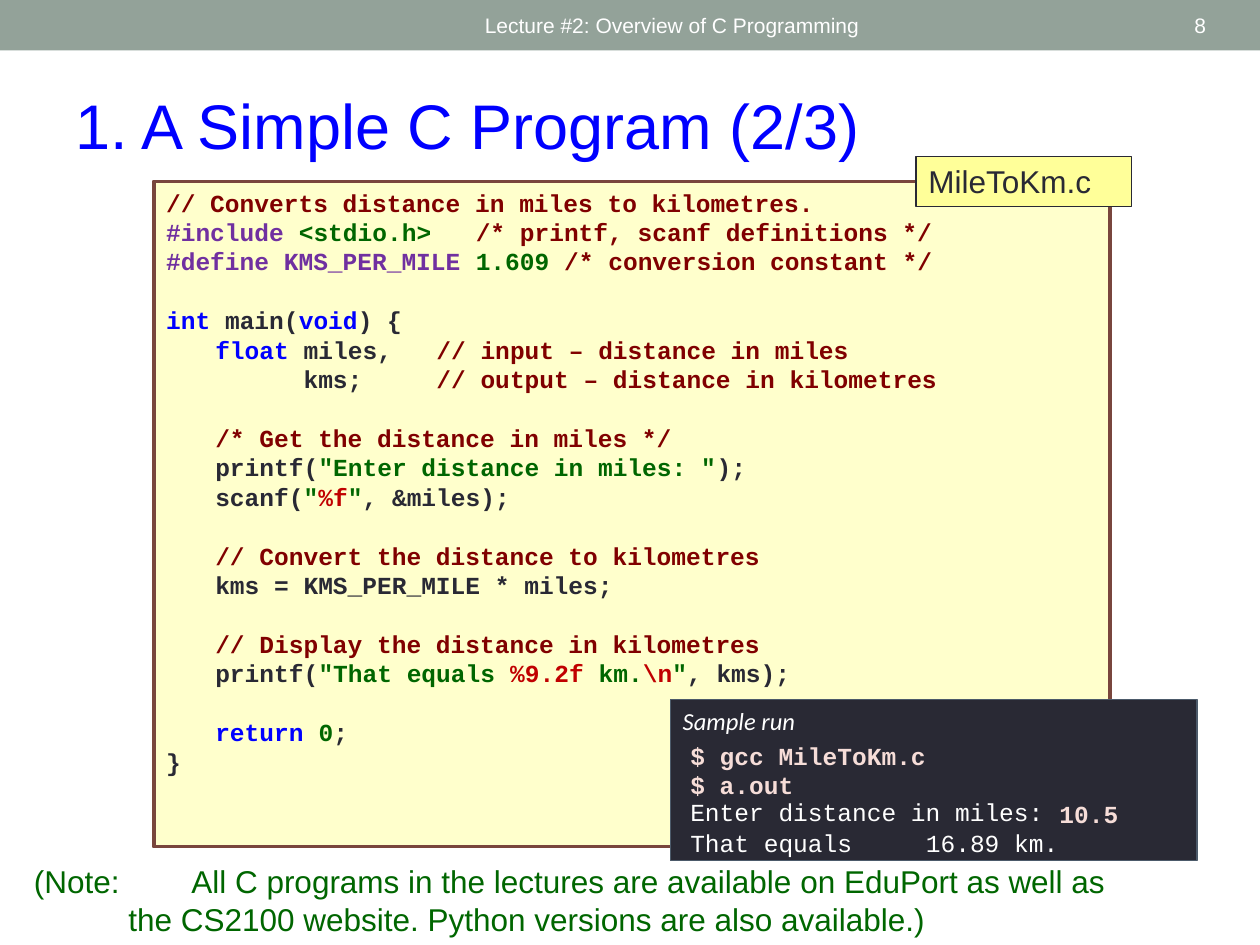
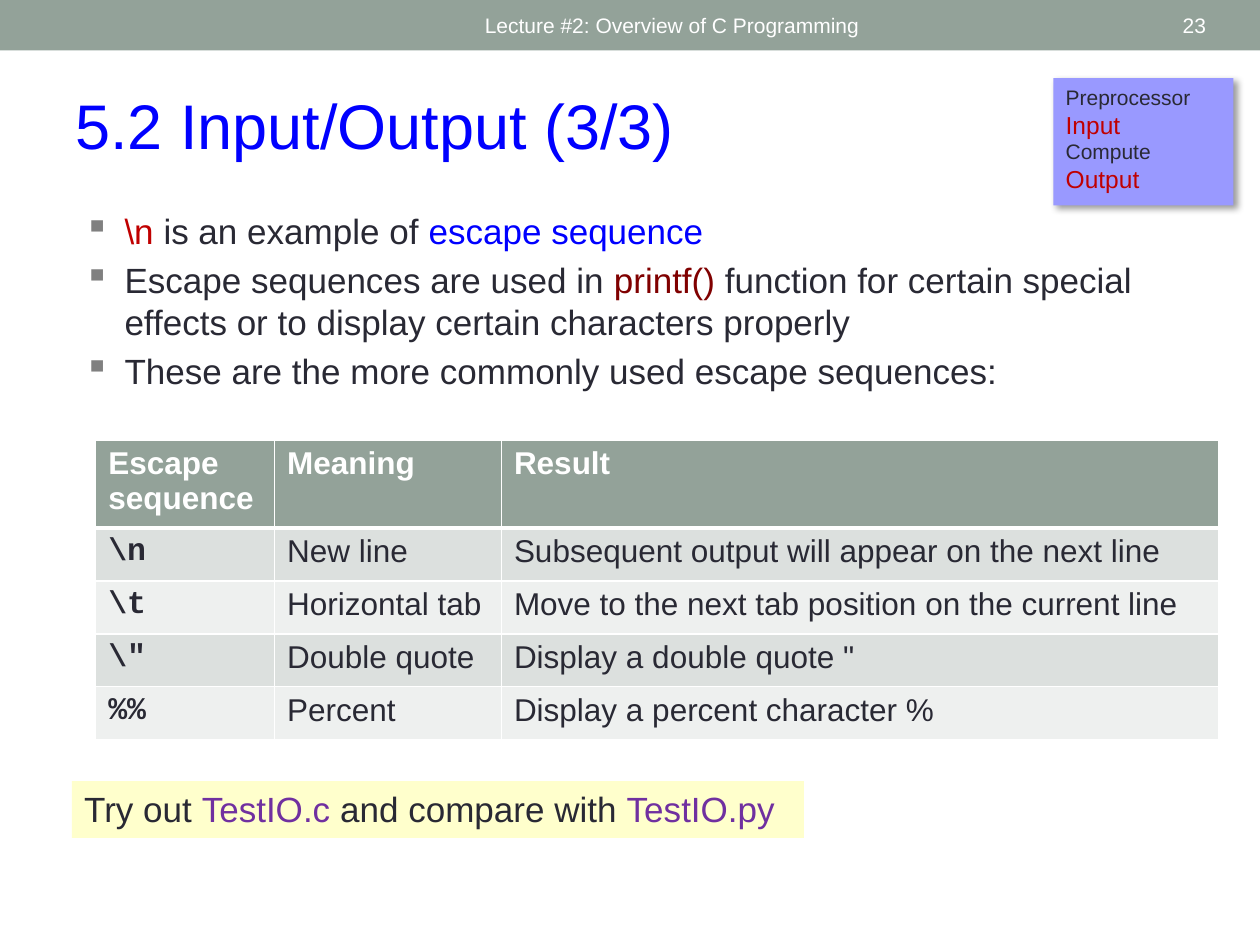
from lxml.etree import SubElement
from pptx import Presentation
from pptx.dml.color import RGBColor
from pptx.enum.shapes import MSO_SHAPE
from pptx.enum.text import MSO_ANCHOR, PP_ALIGN
from pptx.oxml.ns import qn
from pptx.util import Inches, Pt

INK, WHITE, BAND = "292934", "FFFFFF", "93A299"
BLUE, RED, MAROON = "0000FF", "C00000", "800000"
GREEN, PURPLE, PINK = "006600", "7030A0", "F6DDD8"
CREAM, GREY = "FFFFCC", "808080"
SANS, MONO = "Arial", "Courier New"


def rgb(value):
    return RGBColor.from_string(value)


class Deck:
    def __init__(self):
        self.prs = Presentation()
        self.prs.slide_width, self.prs.slide_height = Inches(10), Inches(7.5)
        self.s = None

    def slide(self, number, title):
        self.s = self.prs.slides.add_slide(self.prs.slide_layouts[6])
        self.box((0, 0, 10, 0.4), BAND)
        for at, text, align in (
            ((3.75, 0.02, 4.5, 0.36), "Lecture #2: Overview of C Programming", PP_ALIGN.LEFT),
            ((8.72, 0.02, 0.95, 0.36), str(number), PP_ALIGN.RIGHT),
        ):
            tf = self.text(at, [[(text, WHITE)]], 12)
            tf.vertical_anchor = MSO_ANCHOR.MIDDLE
            tf.paragraphs[0].alignment = align
        self.text((0.5, 0.64, 9, 0.71), [[(title, BLUE)]], 36)

    def runs(self, p, runs, size, font=SANS, bold=False, italic=False):
        for text, color in runs:
            r = p.add_run()
            r.text = text
            r.font.name, r.font.size = font, Pt(size)
            r.font.bold, r.font.italic = bold, italic
            r.font.color.rgb = rgb(color)

    def fill_text(self, tf, lines, size, gap=0, tabs=(), indent=0, bullet=None, **style):
        tf.word_wrap = True
        tf.vertical_anchor = MSO_ANCHOR.TOP
        blank = 0
        started = False
        for line in lines:
            if not line:
                blank += 1.2 * size
                continue
            p = tf.add_paragraph() if started else tf.paragraphs[0]
            p.alignment = PP_ALIGN.LEFT
            p.line_spacing = Pt(1.2 * size)
            if started and gap + blank:
                p.space_before = Pt(gap + blank)
            blank, started = 0, True
            self.layout(p, tabs, indent, bullet)
            self.runs(p, line, size, **style)
        return tf

    def layout(self, p, tabs, indent, bullet):
        pPr = p._p.get_or_add_pPr()
        if indent:
            pPr.set("marL", str(Inches(indent)))
            pPr.set("indent", str(-Inches(indent)))
        if bullet:
            SubElement(SubElement(pPr, qn("a:buClr")), qn("a:srgbClr"), val=GREY)
            SubElement(pPr, qn("a:buChar"), char=bullet)
        if tabs:
            tab_list = SubElement(pPr, qn("a:tabLst"))
            for tab in tabs:
                SubElement(tab_list, qn("a:tab"), pos=str(Inches(tab)), algn="l")

    def text(self, at, lines, size, **style):
        tf = self.s.shapes.add_textbox(*map(Inches, at)).text_frame
        return self.fill_text(tf, lines, size, **style)

    def box(self, at, fill, line=None, width=0.75, lines=(), size=18, **style):
        sp = self.s.shapes.add_shape(MSO_SHAPE.RECTANGLE, *map(Inches, at))
        sp.shadow.inherit = False
        sp.fill.solid()
        sp.fill.fore_color.rgb = rgb(fill)
        if line:
            sp.line.color.rgb = rgb(line)
            sp.line.width = Pt(width)
        else:
            sp.line.fill.background()
        self.fill_text(sp.text_frame, lines, size, **style)
        return sp

    def drop_shadow(self, sp):
        effects = sp._element.spPr.find(qn("a:effectLst"))
        shadow = SubElement(effects, qn("a:outerShdw"), blurRad=str(Pt(4)),
                            dist=str(Pt(3)), dir="2700000", algn="tl", rotWithShape="0")
        color = SubElement(shadow, qn("a:srgbClr"), val="000000")
        SubElement(color, qn("a:alpha"), val="40000")

    def borders(self, cell, bottom):
        tcPr = cell._tc.get_or_add_tcPr()
        for side, width in (("L", 1), ("R", 1), ("T", 1), ("B", bottom)):
            ln = SubElement(tcPr, qn(f"a:ln{side}"), w=str(Pt(width)))
            SubElement(SubElement(ln, qn("a:solidFill")), qn("a:srgbClr"), val=WHITE)

    def table(self, at, cols, heights, rows):
        frame = self.s.shapes.add_table(len(rows), len(cols), *map(Inches, at))
        tbl = frame.table
        for column, width in zip(tbl.columns, cols):
            column.width = Inches(width)
        for i, (row, height) in enumerate(zip(rows, heights)):
            tbl.rows[i].height = Inches(height)
            header = i == 0
            fill = BAND if header else ("EEF0EF", "DCE0DE")[i % 2]
            for j, text in enumerate(row):
                cell = tbl.cell(i, j)
                self.borders(cell, 3 if header else 1)
                cell.fill.solid()
                cell.fill.fore_color.rgb = rgb(fill)
                key = j == 0 and not header
                self.runs(cell.text_frame.paragraphs[0], [(text, WHITE if header else INK)],
                          18, font=MONO if key else SANS, bold=header or key)


def simple_program(d):
    d.slide(8, "1. A Simple C Program (2/3)")
    code = [
        [("// Converts distance in miles to kilometres.", MAROON)],
        [("#include ", PURPLE), ("<stdio.h>   ", GREEN),
         ("/* printf, scanf definitions */", MAROON)],
        [("#define KMS_PER_MILE ", PURPLE), ("1.609 ", GREEN),
         ("/* conversion constant */", MAROON)],
        [],
        [("int", BLUE), (" main(", INK), ("void", BLUE), (") {", INK)],
        [("\tfloat", BLUE), (" miles,   ", INK), ("// input – distance in miles", MAROON)],
        [("\t      kms;     ", INK), ("// output – distance in kilometres", MAROON)],
        [],
        [("\t/* Get the distance in miles */", MAROON)],
        [("\tprintf(", INK), ('"Enter distance in miles: "', GREEN), (");", INK)],
        [("\tscanf(", INK), ('"', GREEN), ("%f", RED), ('"', GREEN), (", &miles);", INK)],
        [],
        [("\t// Convert the distance to kilometres", MAROON)],
        [("\tkms = KMS_PER_MILE * miles;", INK)],
        [],
        [("\t// Display the distance in kilometres", MAROON)],
        [("\tprintf(", INK), ('"That equals ', GREEN), ("%9.2f ", RED), ("km.", GREEN),
         ("\\n", RED), ('"', GREEN), (", kms);", INK)],
        [],
        [("\treturn ", BLUE), ("0", GREEN), (";", INK)],
        [("}", INK)],
    ]
    d.box((1.22, 1.44, 7.59, 5.28), CREAM, "79463D", 2.08, code, 14,
          tabs=(0.39, 0.79, 1.17, 1.57), font=MONO, bold=True)
    d.box((7.27, 1.24, 1.71, 0.4), "FFFF99", INK, lines=[[("MileToKm.c", INK)]])
    d.box((5.32, 5.55, 4.18, 1.28), INK, "4C5A6A", lines=[[("Sample run", WHITE)]],
          size=14, font="Calibri", italic=True)
    d.text((5.38, 5.83, 3.78, 0.57), [[("$ gcc MileToKm.c", PINK)], [("$ a.out", PINK)]],
           14, font=MONO, bold=True)
    d.text((5.38, 6.28, 3.09, 0.34), [[("Enter distance in miles:", WHITE)]], 14, font=MONO)
    d.text((5.38, 6.52, 3.79, 0.34), [[("That equals\t16.89 km.", WHITE)]], 14,
           font=MONO, tabs=(1.87,))
    d.text((8.31, 6.29, 0.79, 0.34), [[("10.5", PINK)]], 14, font=MONO, bold=True)
    note = ("(Note:\t\tAll C programs in the lectures are available on EduPort as well as "
            "the CS2100 website. Python versions are also available.)")
    d.text((0.17, 6.79, 9.02, 0.71), [[(note, GREEN)]], 18, indent=0.75, tabs=(0.69,))


def input_output(d):
    d.slide(23, "5.2 Input/Output (3/3)")
    points = [
        [("\\n ", RED), ("is an example of ", INK), ("escape sequence", BLUE)],
        [("Escape sequences are used in ", INK), ("printf() ", MAROON),
         ("function for certain special effects or to display certain characters properly", INK)],
        [("These are the more commonly used escape sequences:", INK)],
    ]
    d.text((0.57, 1.61, 9, 1.77), points, 20, gap=4, indent=0.32, bullet="▪")
    steps = d.box((8.36, 0.62, 1.43, 1.01), "9999FF")
    d.drop_shadow(steps)
    tf = steps.text_frame
    for i, step in enumerate(("Preprocessor", "Input", "Compute", "Output")):
        active = i % 2 == 1
        size = 14 if active else 12
        p = tf.add_paragraph() if i else tf.paragraphs[0]
        p.alignment = PP_ALIGN.LEFT
        p.line_spacing = Pt(1.2 * size)
        d.runs(p, [(step, RED if active else INK)], size)
    d.table((0.76, 3.49, 8.91, 2.38), (1.42, 1.8, 5.69), [0.7] + [0.42] * 4, [
        ("Escape sequence", "Meaning", "Result"),
        ("\\n", "New line", "Subsequent output will appear on the next line"),
        ("\\t", "Horizontal tab", "Move to the next tab position on the current line"),
        ('\\"', "Double quote", 'Display a double quote "'),
        ("%%", "Percent", "Display a percent character %"),
    ])
    d.box((0.57, 6.2, 5.81, 0.45), CREAM, size=20, lines=[
        [("Try out ", INK), ("TestIO.c ", PURPLE),
         ("and compare with ", INK), ("TestIO.py", PURPLE)]])


def main():
    d = Deck()
    simple_program(d)
    input_output(d)
    d.prs.save("out.pptx")


if __name__ == "__main__":
    main()
